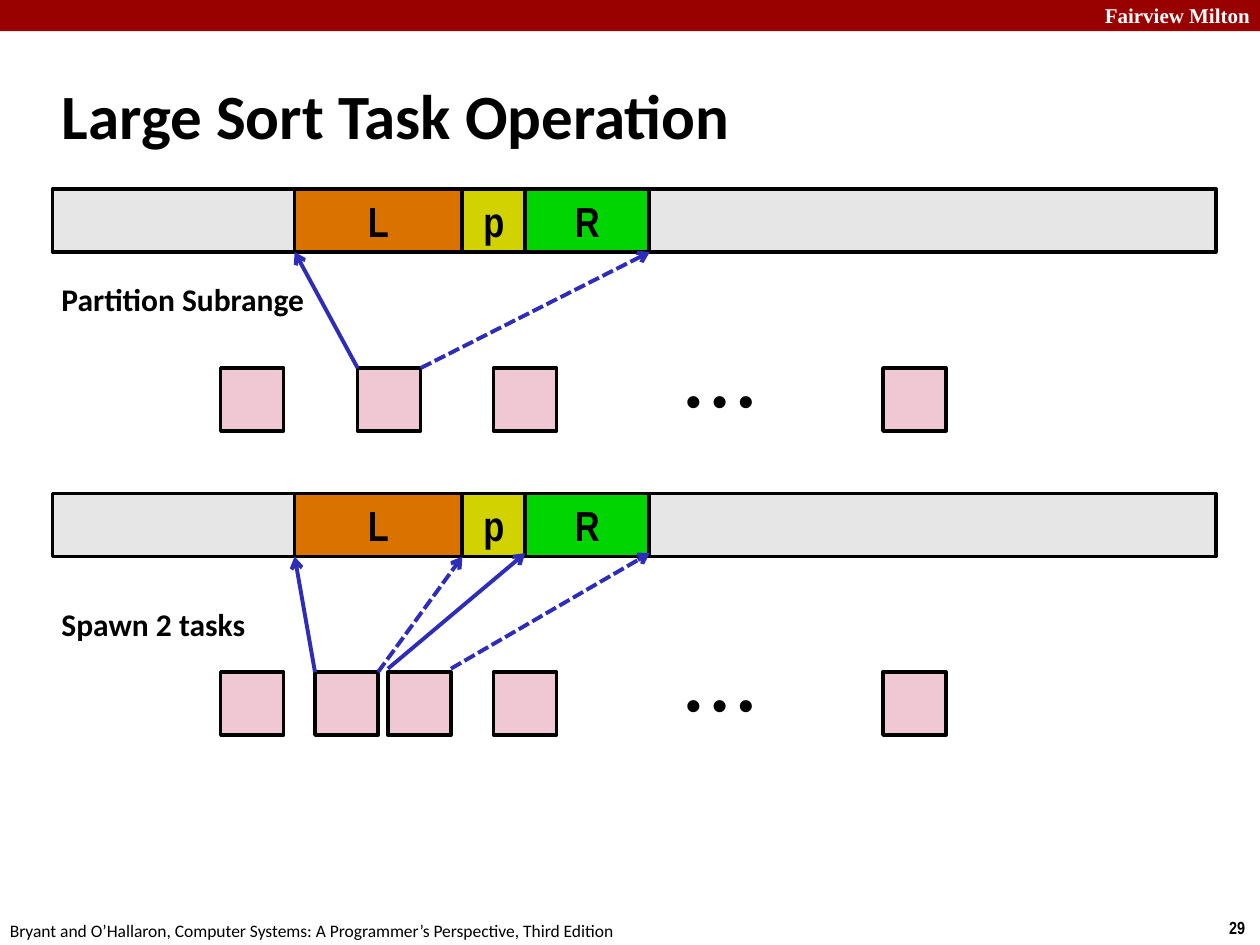
"""Build the slide showing how a large sort task partitions its range and spawns two tasks."""
import pptx
import pptx.dml.color
import pptx.enum.dml
import pptx.enum.shapes
import pptx.enum.text
import pptx.oxml
import pptx.oxml.ns
import pptx.util

Cm = pptx.util.Cm
Pt = pptx.util.Pt
ALIGN = pptx.enum.text.PP_ALIGN
ANCHOR = pptx.enum.text.MSO_ANCHOR
COLORS = {
    name: pptx.dml.color.RGBColor.from_string(value)
    for name, value in {
        "banner": "990000", "white": "FFFFFF", "black": "000000", "array": "E6E6E6",
        "left": "DA7200", "pivot": "D2D200", "right": "01D501", "task": "F0C8D3", "arrow": "2D2DB9",
    }.items()
}
SIDE = 1.27

deck = pptx.Presentation()
deck.slide_width, deck.slide_height = Cm(25.4), Cm(19.05)
page = deck.slides.add_slide(deck.slide_layouts[5])


def write(shape, text, size, font, bold=True, color="black", align=ALIGN.LEFT, anchor=ANCHOR.TOP, wrap=False):
    frame = shape.text_frame
    frame.text = text
    frame.word_wrap = wrap
    frame.auto_size = pptx.enum.text.MSO_AUTO_SIZE.NONE
    frame.vertical_anchor = anchor
    para = frame.paragraphs[0]
    para.alignment = align
    para.font.size, para.font.name, para.font.bold = Pt(size), font, bold
    para.font.color.rgb = COLORS[color]


def add_block(left, top, width, height, fill, outlined=True):
    block = page.shapes.add_shape(
        pptx.enum.shapes.MSO_SHAPE.RECTANGLE, Cm(left), Cm(top), Cm(width), Cm(height))
    block.shadow.inherit = False
    block.fill.solid()
    block.fill.fore_color.rgb = COLORS[fill]
    if outlined:
        block.line.color.rgb = COLORS["black"]
        block.line.width = Pt(2)
    else:
        block.line.fill.background()
    return block


title = page.shapes.title
title.left, title.top, title.width, title.height = Cm(0.99), Cm(1.24), Cm(21.08), Cm(2.11)
write(title, "Large Sort Task Operation", 36, "Calibri", anchor=ANCHOR.MIDDLE, wrap=True)

add_block(0, 0, 25.4, 0.63, "banner", outlined=False)

labels = [
    ("Fairview Milton", 21.95, -0.07, 3.5, 0.76, 12, "Times New Roman", True, "white", ALIGN.RIGHT),
    ("29", 24.53, 18.37, 0.87, 0.68, 10, "Arial Narrow", True, "black", ALIGN.LEFT),
    ("Bryant and O’Hallaron, Computer Systems: A Programmer’s Perspective, Third Edition",
     -0.05, 18.42, 12.9, 0.68, 10, "Calibri", False, "black", ALIGN.LEFT),
    ("Partition Subrange", 0.99, 5.52, 5.51, 1.02, 18, "Calibri", True, "black", ALIGN.LEFT),
    ("Spawn 2 tasks", 0.99, 12.08, 4.27, 1.02, 18, "Calibri", True, "black", ALIGN.LEFT),
]
for text, left, top, width, height, size, font, bold, color, align in labels:
    box = page.shapes.add_textbox(Cm(left), Cm(top), Cm(width), Cm(height))
    write(box, text, size, font, bold, color, align)

segments = [("L", 5.94, 3.38, "left"), ("p", 9.32, SIDE, "pivot"), ("R", 10.59, 2.5, "right")]
stages = [(3.81, 7.42, [7.21]), (9.95, 13.55, [6.35, 7.82])]
for array_top, task_top, active_tasks in stages:
    add_block(1.06, array_top, 23.45, SIDE, "array")
    for letter, left, width, fill in segments:
        segment = add_block(left, array_top, width, SIDE, fill)
        write(segment, letter, 24, "Arial Narrow", align=ALIGN.CENTER, anchor=ANCHOR.MIDDLE)
    for left in [4.45, *active_tasks, 9.95, 17.8]:
        add_block(left, task_top, SIDE, SIDE, "task")
    dots = page.shapes.add_textbox(Cm(11.22), Cm(task_top), Cm(6.58), Cm(SIDE))
    write(dots, "• • •", 24, "Arial", align=ALIGN.CENTER, anchor=ANCHOR.MIDDLE)

ranges = [
    (7.21, 7.42, 5.94, 13.1, 5.08),
    (6.35, 13.55, 5.94, 9.32, 11.22),
    (7.82, 13.48, 10.59, 13.1, 11.15),
]
for task_left, start_y, range_start, range_end, end_y in ranges:
    for start_x, end_x, dashed in [(task_left, range_start, False), (task_left + SIDE, range_end, True)]:
        arrow = page.shapes.add_connector(
            pptx.enum.shapes.MSO_CONNECTOR.STRAIGHT, Cm(start_x), Cm(start_y), Cm(end_x), Cm(end_y))
        arrow.line.color.rgb = COLORS["arrow"]
        arrow.line.width = Pt(2.25)
        if dashed:
            arrow.line.dash_style = pptx.enum.dml.MSO_LINE.SQUARE_DOT
        head = pptx.oxml.parse_xml(f'<a:tailEnd {pptx.oxml.ns.nsdecls("a")} type="arrow"/>')
        arrow.line._get_or_add_ln().append(head)
        arrow._element.spPr.append(pptx.oxml.parse_xml(f'<a:effectLst {pptx.oxml.ns.nsdecls("a")}/>'))

deck.save("out.pptx")
